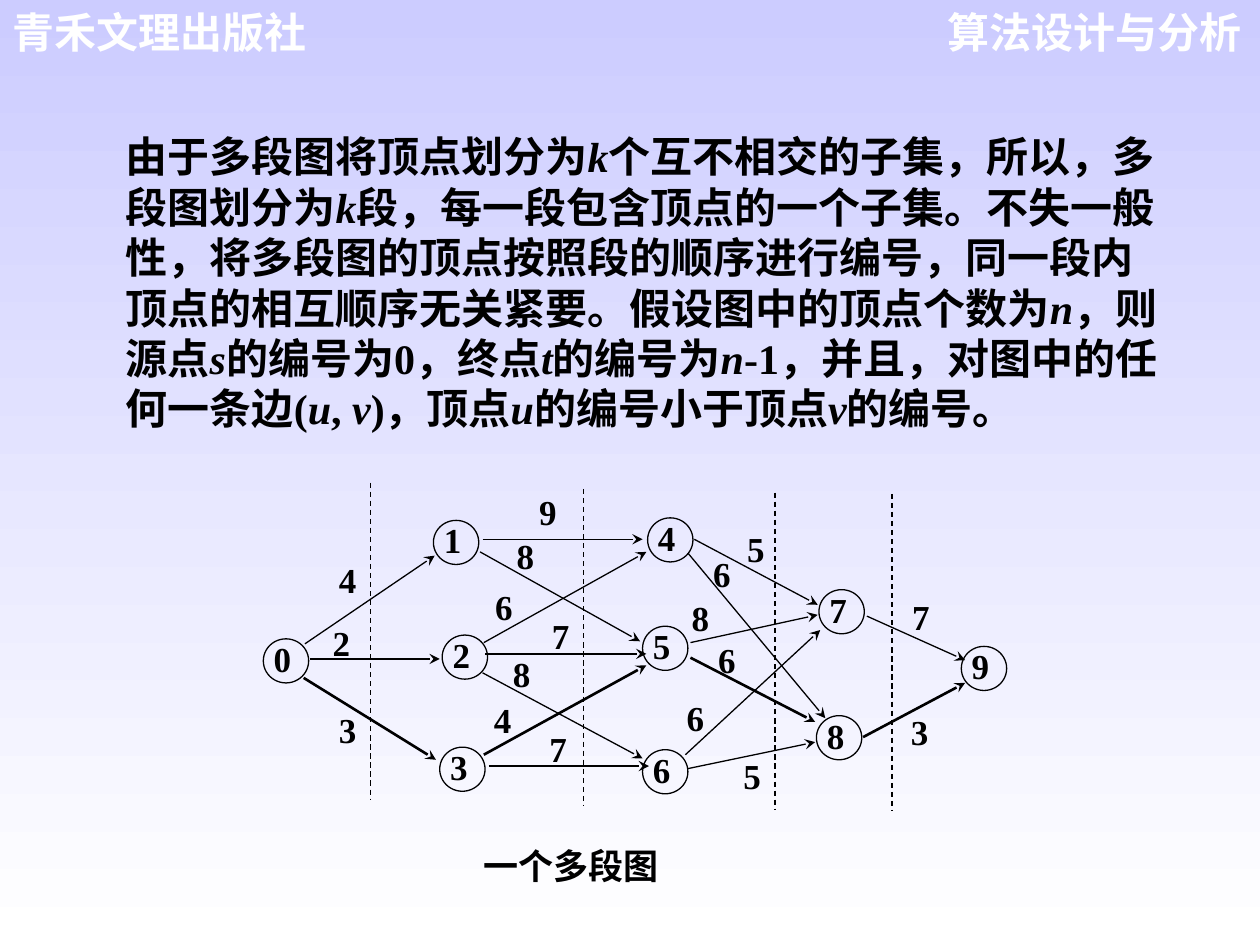
from pptx import Presentation
from pptx import util as u
from pptx.dml.color import RGBColor
from pptx.enum import dml, shapes, text
from pptx.oxml.ns import qn
from lxml import etree

Inches, Pt = u.Inches, u.Pt

theme = {
    "ink": RGBColor(0x00, 0x00, 0x00),
    "head": RGBColor(0xFF, 0xFF, 0xFF),
    "sky": [RGBColor(0xCC, 0xCC, 0xFF), RGBColor(0xFF, 0xFF, 0xFF)],
    "sans": "Arial",
    "serif": "Times New Roman",
    "large": Pt(24),
    "small": Pt(20),
    "thin": Pt(0.75),
    "thick": Pt(1.5),
}


def write(shape, words, size, face="serif", color="ink", align="LEFT",
          space=1, inset=None):
    """Write bold text in a shape; parts between asterisks are italic."""
    frame = shape.text_frame
    frame.word_wrap = True
    frame.vertical_anchor = text.MSO_ANCHOR.TOP
    if inset is not None:
        frame.margin_left = Inches(inset)
        frame.margin_top = frame.margin_right = frame.margin_bottom = 0
    para = frame.paragraphs[0]
    para.alignment = getattr(text.PP_ALIGN, align)
    para.line_spacing = space
    for i, part in enumerate(words.split("*")):
        run = para.add_run()
        run.text = part
        run.font.size = theme[size]
        run.font.name = theme[face]
        run.font.bold = True
        run.font.italic = i % 2 == 1
        run.font.color.rgb = theme[color]


def draw(start, end, width, dash=False):
    """Draw a dashed divider or an arrow."""
    line = slide.shapes.add_connector(
        shapes.MSO_CONNECTOR.STRAIGHT, *map(Inches, start + end))
    line.line.color.rgb = theme["ink"]
    line.line.width = theme[width]
    if dash:
        line.line.dash_style = dml.MSO_LINE.DASH
    else:
        etree.SubElement(line.line._get_or_add_ln(), qn("a:tailEnd"), type="stealth")
    etree.SubElement(line._element.spPr, qn("a:effectLst"))


deck = Presentation()
deck.slide_width, deck.slide_height = Inches(10), Inches(7.5)
slide = deck.slides.add_slide(deck.slide_layouts[6])

# Background, top to bottom
back = slide.background.fill
back.gradient()
back.gradient_angle = 270
for stop, color in zip(back.gradient_stops, theme["sky"]):
    stop.color.rgb = color

# Page header
for left, words, align in [(7.24, "算法设计与分析", "RIGHT"), (0, "青禾文理出版社", "LEFT")]:
    box = slide.shapes.add_textbox(Inches(left), 0, Inches(2.71), Inches(0.5))
    write(box, words, "large", "sans", "head", align)

# Body text
body = slide.shapes.add_textbox(Inches(0.9), Inches(0.99), Inches(8.43), Inches(2.9))
write(body, "由于多段图将顶点划分为*k*个互不相交的子集，所以，多段图划分为*k*段，"
      "每一段包含顶点的一个子集。不失一般性，将多段图的顶点按照段的顺序进行编号，"
      "同一段内顶点的相互顺序无关紧要。假设图中的顶点个数为*n*，则源点*s*的编号为0，"
      "终点*t*的编号为*n*-1，并且，对图中的任何一条边(*u*, *v*)，顶点*u*的编号小于顶点*v*的编号。",
      "large")

# Nodes, numbered in order
nodes = [(2.09, 5.07), (3.44, 4.13), (3.51, 5.04), (3.49, 5.93), (5.14, 4.11),
         (5.1, 4.97), (5.1, 5.95), (6.5, 4.68), (6.48, 5.68), (7.63, 5.13)]
for num, (left, top) in enumerate(nodes):
    node = slide.shapes.add_shape(shapes.MSO_SHAPE.OVAL, Inches(left), Inches(top),
                                  Inches(0.36), Inches(0.35))
    node.shadow.inherit = False
    node.fill.background()
    node.line.color.rgb = theme["ink"]
    node.line.width = theme["thin"]
    write(node, str(num), "small", align="JUSTIFY", space=0.8, inset=0.03)

# Edges: start, end, weight, place of weight, line width
edges = [
    ((2.42, 5.11), (3.45, 4.41), 4, (2.69, 4.5), "thin"),
    ((2.46, 5.23), (3.49, 5.23), 2, (2.64, 5), "thin"),
    ((2.41, 5.38), (3.46, 6.03), 3, (2.69, 5.69), "thick"),
    ((3.83, 4.28), (5.1, 4.28), 9, (4.28, 3.96), "thin"),
    ((3.81, 4.38), (5.08, 5.09), 8, (4.1, 4.31), "thin"),
    ((3.84, 5.1), (5.13, 4.38), 6, (3.93, 4.71), "thin"),
    ((3.85, 5.19), (5.13, 5.19), 7, (4.38, 4.94), "thin"),
    ((3.83, 5.34), (5.1, 6.02), 8, (4.07, 5.24), "thin"),
    ((3.84, 5.99), (5.13, 5.28), 4, (3.92, 5.61), "thick"),
    ((3.88, 6.08), (5.15, 6.08), 7, (4.36, 5.84), "thin"),
    ((5.51, 4.28), (6.49, 4.8), 5, (5.93, 4.25), "thin"),
    ((5.46, 4.39), (6.55, 5.7), 6, (5.66, 4.45), "thin"),
    ((5.48, 5.1), (6.49, 4.88), 8, (5.49, 4.8), "thin"),
    ((5.48, 5.22), (6.47, 5.73), 6, (5.7, 5.13), "thick"),
    ((5.44, 5.99), (6.51, 5), 6, (5.45, 5.59), "thin"),
    ((5.46, 6.1), (6.47, 5.89), 5, (5.9, 6.05), "thin"),
    ((6.88, 4.89), (7.66, 5.24), 7, (7.24, 4.79), "thin"),
    ((6.85, 5.85), (7.66, 5.42), 3, (7.23, 5.7), "thick"),
]
for start, end, weight, (left, top), width in edges:
    draw(start, end, width)
    label = slide.shapes.add_textbox(Inches(left), Inches(top), Inches(0.2), Inches(0.23))
    write(label, str(weight), "small", align="JUSTIFY", space=0.8, inset=0)

# Stage dividers
for left, top in [(2.94, 3.83), (4.63, 3.88), (6.15, 3.91), (7.08, 3.92)]:
    draw((left, top), (left, top + 2.52), "thin", dash=True)

# Caption
note = slide.shapes.add_textbox(Inches(3.46), Inches(6.77), Inches(3), Inches(0.27))
write(note, "一个多段图", "small", align="JUSTIFY", space=0.8, inset=0.38)

deck.save("out.pptx")
